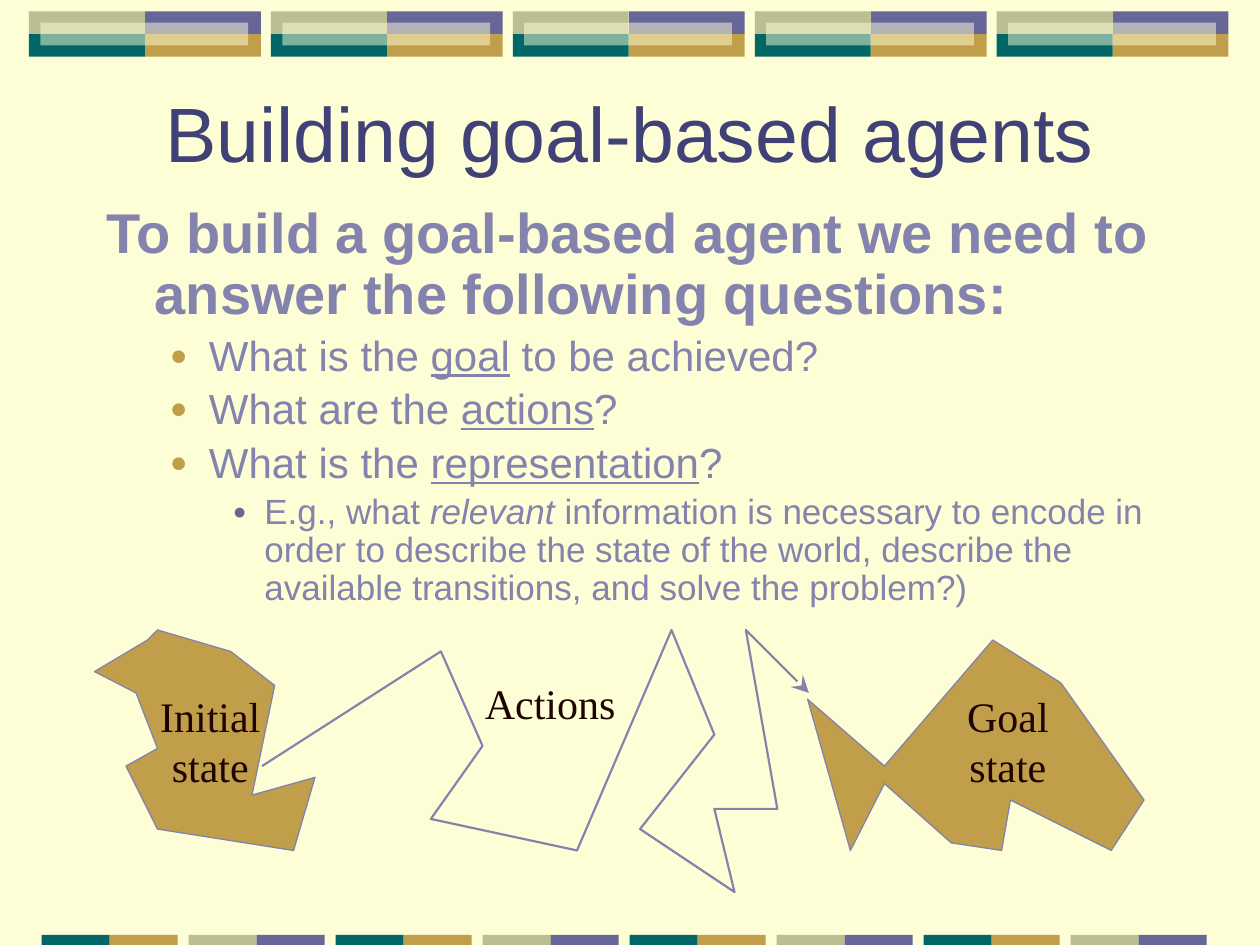
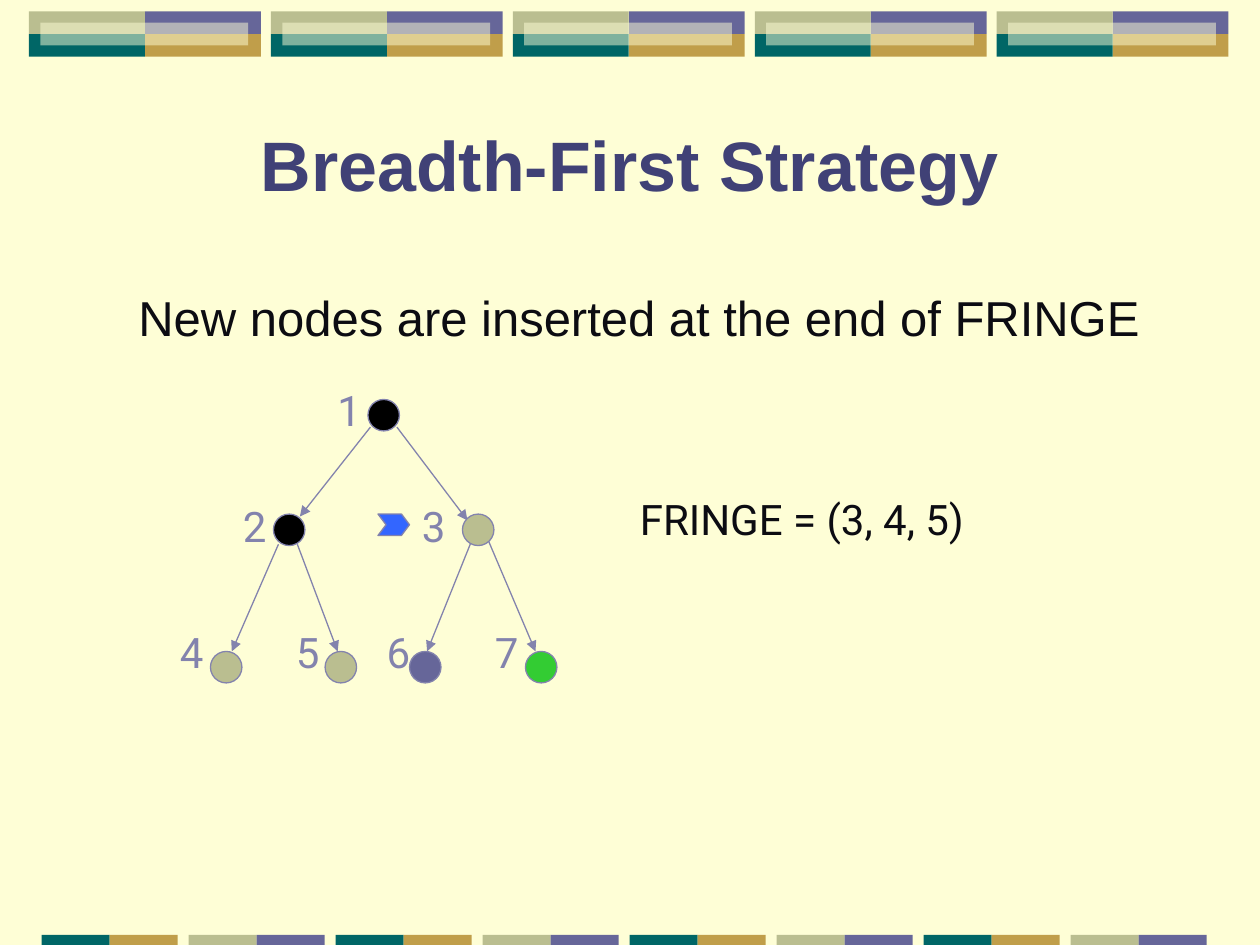
from lxml import etree
from pptx import Presentation
from pptx import util as u
from pptx.dml.color import RGBColor
from pptx.enum import shapes, text
from pptx.oxml.ns import qn

CREAM = RGBColor(0xFE, 0xFE, 0xD6)
VIOLET = RGBColor(0x66, 0x66, 0x99)
GOLD = RGBColor(0xC0, 0x9E, 0x4A)
TEAL = RGBColor(0x00, 0x66, 0x66)
SAGE = RGBColor(0xBA, 0xBE, 0x90)
NAVY = RGBColor(0x40, 0x41, 0x76)
LAVENDER = RGBColor(0x83, 0x83, 0xAD)
BROWN = RGBColor(0x1D, 0x04, 0x01)
INK = RGBColor(0x0C, 0x0C, 0x12)
BLACK = RGBColor(0x00, 0x00, 0x00)
GREEN = RGBColor(0x33, 0xCC, 0x33)
BLUE = RGBColor(0x33, 0x66, 0xFF)


def paint(sp, fill=None, line=None, width=0.75):
    sp.shadow.inherit = False
    if fill is None:
        sp.fill.background()
    else:
        sp.fill.solid()
        sp.fill.fore_color.rgb = fill
    if line is None:
        sp.line.fill.background()
    else:
        sp.line.color.rgb = line
        sp.line.width = u.Pt(width)


def add_label(s, box, lines, font, size, color, align=None):
    tf = s.shapes.add_textbox(*map(u.Inches, box)).text_frame
    tf.word_wrap = False
    tf.auto_size = text.MSO_AUTO_SIZE.SHAPE_TO_FIT_TEXT
    for i, line in enumerate(lines):
        p = tf.add_paragraph() if i else tf.paragraphs[0]
        p.alignment = align
        r = p.add_run()
        r.text = line
        r.font.name, r.font.size = font, u.Pt(size)
        r.font.color.rgb = color


prs = Presentation()
prs.slide_width, prs.slide_height = u.Inches(10), u.Inches(7.5)
master = prs.slide_master
master.background.fill.solid()
master.background.fill.fore_color.rgb = CREAM

slides = []
for title, top, size, bold in [
    ("Building goal-based agents", 0.42, 44, False),
    ("Breadth-First Strategy", 0.67, 40, True),
]:
    s = prs.slides.add_slide(prs.slide_layouts[5])
    sp = s.shapes.title
    sp.left, sp.top, sp.width, sp.height = map(u.Inches, (0.75, top, 8.5, 1.25))
    tf = sp.text_frame
    tf.auto_size = text.MSO_AUTO_SIZE.NONE
    tf.vertical_anchor = text.MSO_ANCHOR.MIDDLE
    p = tf.paragraphs[0]
    p.alignment = text.PP_ALIGN.CENTER
    r = p.add_run()
    r.text = title
    r.font.name, r.font.size, r.font.bold = "Arial", u.Pt(size), bold
    r.font.color.rgb = NAVY
    slides.append(s)
goal_slide, search_slide = slides

tiles = []
for i in range(5):
    x = 0.23 + 1.92 * i
    tiles += [
        (x + 0.92, 0.09, 0.92, 0.18, VIOLET),
        (x + 0.92, 0.27, 0.92, 0.18, GOLD),
        (x, 0.27, 0.92, 0.18, TEAL),
        (x, 0.09, 0.92, 0.18, SAGE),
        (x + 0.09, 0.18, 1.65, 0.18, CREAM),
    ]
for i in range(8):
    x = 0.33 + 7 / 6 * i
    left, right = [(TEAL, GOLD), (SAGE, VIOLET)][i % 2]
    tiles += [(x, 7.42, 0.54, 0.08, left), (x + 0.54, 7.42, 0.54, 0.08, right)]

for i, (*box, color) in enumerate(tiles):
    sp = goal_slide.shapes.add_shape(shapes.MSO_SHAPE.RECTANGLE, *map(u.Inches, box))
    paint(sp, color)
    if color == CREAM:
        clr = sp.element.spPr.find(qn("a:solidFill"))[0]
        etree.SubElement(clr, qn("a:alpha"), val="50000")
    sp.element.nvSpPr.cNvPr.set("id", str(100 + i))
    master.shapes.element.insert(2 + i, sp.element)

questions = [
    (32, 0.38, -0.38, None, None,
     [("To build a goal-based agent we need to answer the following questions:", "b")]),
    (24, 0.81, -0.31, GOLD, 70,
     [("What is the ", ""), ("goal", "u"), (" to be achieved?", "")]),
    (24, 0.81, -0.31, GOLD, 70,
     [("What are the ", ""), ("actions", "u"), ("?", "")]),
    (24, 0.81, -0.31, GOLD, 70,
     [("What is the ", ""), ("representation", "u"), ("?", "")]),
    (20, 1.25, -0.25, VIOLET, 65,
     [("E.g., what ", ""), ("relevant ", "i"),
      ("information is necessary to encode in order to describe the state of the "
       "world, describe the available transitions, and solve the problem?)", "")]),
]
box = map(u.Inches, (0.75, 1.58, 8.5, 3.25))
tf = goal_slide.shapes.add_textbox(*box).text_frame
tf.word_wrap = True
for i, (size, margin, indent, color, percent, runs) in enumerate(questions):
    p = tf.add_paragraph() if i else tf.paragraphs[0]
    pPr = p._p.get_or_add_pPr()
    pPr.set("marL", str(u.Inches(margin)))
    pPr.set("indent", str(u.Inches(indent)))
    if color is not None:
        clr = etree.SubElement(pPr, qn("a:buClr"))
        etree.SubElement(clr, qn("a:srgbClr"), val=str(color))
        etree.SubElement(pPr, qn("a:buSzPct"), val=str(percent * 1000))
        etree.SubElement(pPr, qn("a:buFont"), typeface="Arial")
        etree.SubElement(pPr, qn("a:buChar"), char="●")
    p.line_spacing = 0.9
    if i:
        p.space_before = u.Pt(size * 0.2)
    for words, style in runs:
        r = p.add_run()
        r.text = words
        r.font.name, r.font.size = "Arial", u.Pt(size)
        r.font.color.rgb = LAVENDER
        r.font.bold = style == "b"
        r.font.italic = style == "i"
        r.font.underline = style == "u"

initial_state = [
    (1.25, 5), (1.83, 5.17), (2.18, 5.44), (2, 6.31), (2.5, 6.17), (2.33, 6.75),
    (1.25, 6.58), (1, 6.08), (1.25, 5.94), (1.08, 5.5), (0.75, 5.33), (1.17, 5.08),
]
goal_state = [
    (7.02, 6.08), (7.88, 5.08), (8.42, 5.42), (9.08, 6.35), (8.82, 6.75), (8.02, 6.35),
    (7.95, 6.75), (7.55, 6.69), (7.02, 6.22), (6.75, 6.75), (6.41, 5.55),
]
actions = [
    (2.08, 6.08), (3.5, 5.17), (3.83, 5.92), (3.42, 6.5), (4.58, 6.75), (5.33, 5),
    (5.67, 5.83), (5.08, 6.58), (5.83, 7.08), (5.67, 6.42), (6.17, 6.42), (5.92, 5),
    (6.42, 5.5),
]
for points, fill, width in [
    (initial_state, GOLD, 0.75), (goal_state, GOLD, 0.75), (actions, None, 1.25),
]:
    start, *rest = [(u.Inches(x), u.Inches(y)) for x, y in points]
    outline = goal_slide.shapes.build_freeform(*start)
    outline.add_line_segments(rest, close=fill is not None)
    sp = outline.convert_to_shape()
    paint(sp, fill, LAVENDER, width)
    if fill is None:
        ln = sp.element.spPr.find(qn("a:ln"))
        etree.SubElement(ln, qn("a:tailEnd"), type="stealth", w="lg", len="lg")

for box, lines, align in [
    ((1.07, 5.43, 1.2, 0.9), ["Initial", "state"], text.PP_ALIGN.CENTER),
    ((7.4, 5.43, 1.2, 0.9), ["Goal", "state"], text.PP_ALIGN.CENTER),
    ((3.75, 5.33, 1.24, 0.5), ["Actions"], None),
]:
    add_label(goal_slide, box, lines, "Times New Roman", 24, BROWN, align)

add_label(search_slide, (1, 2.23, 8.15, 0.53),
          ["New nodes are inserted at the end of FRINGE"], "Arial", 28, INK)
add_label(search_slide, (4.98, 3.87, 3, 0.5), ["FRINGE = (3, 4, 5)"], "Roboto", 24, INK)

sp = search_slide.shapes.add_shape(
    shapes.MSO_SHAPE.CHEVRON, *map(u.Inches, (3, 4.08, 0.25, 0.17)))
sp.adjustments[0] = 0.375
paint(sp, BLUE, LAVENDER)

for edge in [
    (2.94, 3.39, 2.38, 4.1), (3.15, 3.39, 3.71, 4.13),
    (2.21, 4.32, 1.84, 5.17), (2.36, 4.32, 2.68, 5.17),
    (3.74, 4.3, 3.39, 5.17), (3.88, 4.3, 4.25, 5.17),
]:
    sp = search_slide.shapes.add_connector(
        shapes.MSO_CONNECTOR.STRAIGHT, *map(u.Inches, edge))
    sp.line.color.rgb = LAVENDER
    sp.line.width = u.Pt(0.75)
    spPr = sp.element.spPr
    etree.SubElement(spPr.find(qn("a:ln")), qn("a:tailEnd"), type="triangle")
    etree.SubElement(spPr, qn("a:effectLst"))

row_tops = [(3.17, 3), (4.08, 3.92), (5.17, 4.92)]
for number, row, node_x, label_x, color in [
    ("1", 0, 2.92, 2.58, BLACK),
    ("2", 1, 2.17, 1.83, BLACK),
    ("3", 1, 3.67, 3.25, SAGE),
    ("4", 2, 1.67, 1.33, SAGE),
    ("5", 2, 2.58, 2.25, SAGE),
    ("6", 2, 3.25, 2.97, VIOLET),
    ("7", 2, 4.17, 3.83, GREEN),
]:
    node_y, label_y = row_tops[row]
    add_label(search_slide, (label_x, label_y, 0.38, 0.5), [number], "Roboto", 24, LAVENDER)
    sp = search_slide.shapes.add_shape(
        shapes.MSO_SHAPE.OVAL, *map(u.Inches, (node_x, node_y, 0.25, 0.25)))
    paint(sp, color, LAVENDER)

prs.save("out.pptx")
